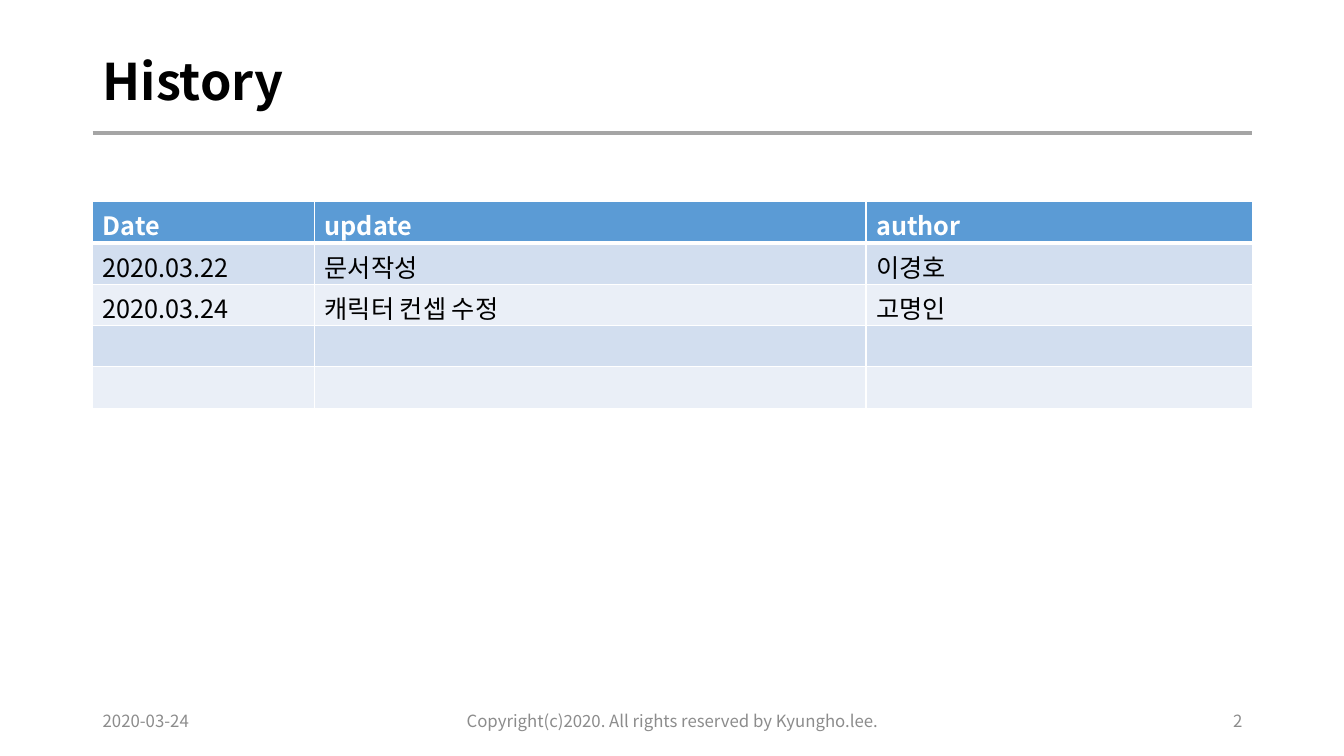
from dataclasses import dataclass

from lxml.etree import SubElement
from pptx import Presentation
from pptx.dml.color import RGBColor as RGB
from pptx.enum.shapes import MSO_CONNECTOR as Connector
from pptx.enum.text import MSO_ANCHOR as Anchor, PP_ALIGN as Align
from pptx.oxml.ns import qn
from pptx.util import Pt

EMU_PER_PX = 9144


@dataclass(frozen=True)
class Theme:
    font: str = "Noto Sans CJK KR"
    ink: str = "000000"
    white: str = "FFFFFF"
    muted: str = "8C8C8C"
    rule: str = "A5A5A5"
    header: str = "5B9BD5"
    bands: tuple[str, str] = ("D2DEEF", "EAEFF7")
    title_size: int = 36
    table_size: int = 18
    footer_size: int = 12
    rule_width: float = 2.25
    grid_width: int = 1
    header_width: int = 3


@dataclass(frozen=True)
class Label:
    text: str
    left: int
    top: int
    width: int
    height: int
    size: int
    color: str
    align: Align = Align.LEFT
    bold: bool = False
    line_spacing: float = 1.0


THEME = Theme()
LEFT, WIDTH = 92, 1150
RIGHT = LEFT + WIDTH
FOOTER_TOP, FOOTER_HEIGHT = 695, 40
RULE_Y = 132
TABLE_TOP, ROW_HEIGHT = 200, 41
COLUMN_WIDTHS = (220, 547, 383)
HISTORY = (
    ("Date", "update", "author"),
    ("2020.03.22", "문서작성", "이경호"),
    ("2020.03.24", "캐릭터 컨셉 수정", "고명인"),
    ("", "", ""),
    ("", "", ""),
)


def footer(text: str, left: int, width: int, align: Align) -> Label:
    return Label(text, left, FOOTER_TOP, width, FOOTER_HEIGHT,
                 THEME.footer_size, THEME.muted, align)


LABELS = (
    Label("History", LEFT, 40, WIDTH, 87, THEME.title_size, THEME.ink,
          bold=True, line_spacing=0.9),
    footer("2020-03-24", LEFT, 300, Align.LEFT),
    footer("Copyright(c)2020. All rights reserved by Kyungho.lee.", 442, 450, Align.CENTER),
    footer("2", RIGHT - 300, 300, Align.RIGHT),
)


def px(length: int) -> int:
    return length * EMU_PER_PX


def style_text(paragraph, size: int, color: str, bold: bool) -> None:
    for run in paragraph.runs:
        run.font.size = Pt(size)
        run.font.bold = bold
        run.font.color.rgb = RGB.from_string(color)
        run.font.name = THEME.font
        SubElement(run.font._element, qn("a:ea"), typeface=THEME.font)
    if not paragraph.runs:
        ending = SubElement(paragraph._p, qn("a:endParaRPr"), sz=str(size * 100))
        for script in ("a:latin", "a:ea"):
            SubElement(ending, qn(script), typeface=THEME.font)


def draw_label(slide, label: Label) -> None:
    box = slide.shapes.add_textbox(
        px(label.left), px(label.top), px(label.width), px(label.height))
    frame = box.text_frame
    frame.word_wrap = True
    frame.vertical_anchor = Anchor.MIDDLE
    frame.text = label.text
    paragraph = frame.paragraphs[0]
    paragraph.alignment = label.align
    paragraph.line_spacing = label.line_spacing
    style_text(paragraph, label.size, label.color, label.bold)


def draw_rule(slide) -> None:
    rule = slide.shapes.add_connector(
        Connector.STRAIGHT, px(LEFT), px(RULE_Y), px(RIGHT), px(RULE_Y))
    rule.line.color.rgb = RGB.from_string(THEME.rule)
    rule.line.width = Pt(THEME.rule_width)
    SubElement(rule._element.spPr, qn("a:effectLst"))


def set_borders(cell, row: int) -> None:
    widths = {
        "a:lnL": THEME.grid_width,
        "a:lnR": THEME.grid_width,
        "a:lnT": THEME.header_width if row == 1 else THEME.grid_width,
        "a:lnB": THEME.header_width if row == 0 else THEME.grid_width,
    }
    properties = cell._tc.get_or_add_tcPr()
    for edge, width in widths.items():
        line = SubElement(properties, qn(edge), w=str(Pt(width)))
        fill = SubElement(line, qn("a:solidFill"))
        SubElement(fill, qn("a:srgbClr"), val=THEME.white)


def draw_history(slide) -> None:
    history = slide.shapes.add_table(
        len(HISTORY), len(COLUMN_WIDTHS), px(LEFT), px(TABLE_TOP),
        px(WIDTH), px(ROW_HEIGHT * len(HISTORY))).table
    for column, width in zip(history.columns, COLUMN_WIDTHS):
        column.width = px(width)
    for row, entries in enumerate(HISTORY):
        is_header = row == 0
        background = THEME.header if is_header else THEME.bands[(row - 1) % 2]
        for column, entry in enumerate(entries):
            cell = history.cell(row, column)
            set_borders(cell, row)
            cell.fill.solid()
            cell.fill.fore_color.rgb = RGB.from_string(background)
            cell.text_frame.text = entry
            style_text(cell.text_frame.paragraphs[0], THEME.table_size,
                       THEME.white if is_header else THEME.ink, is_header)


def main() -> None:
    deck = Presentation()
    deck.slide_width, deck.slide_height = px(1333), px(750)
    slide = deck.slides.add_slide(deck.slide_layouts[6])
    draw_rule(slide)
    for label in LABELS:
        draw_label(slide, label)
    draw_history(slide)
    deck.save("out.pptx")


if __name__ == "__main__":
    main()
